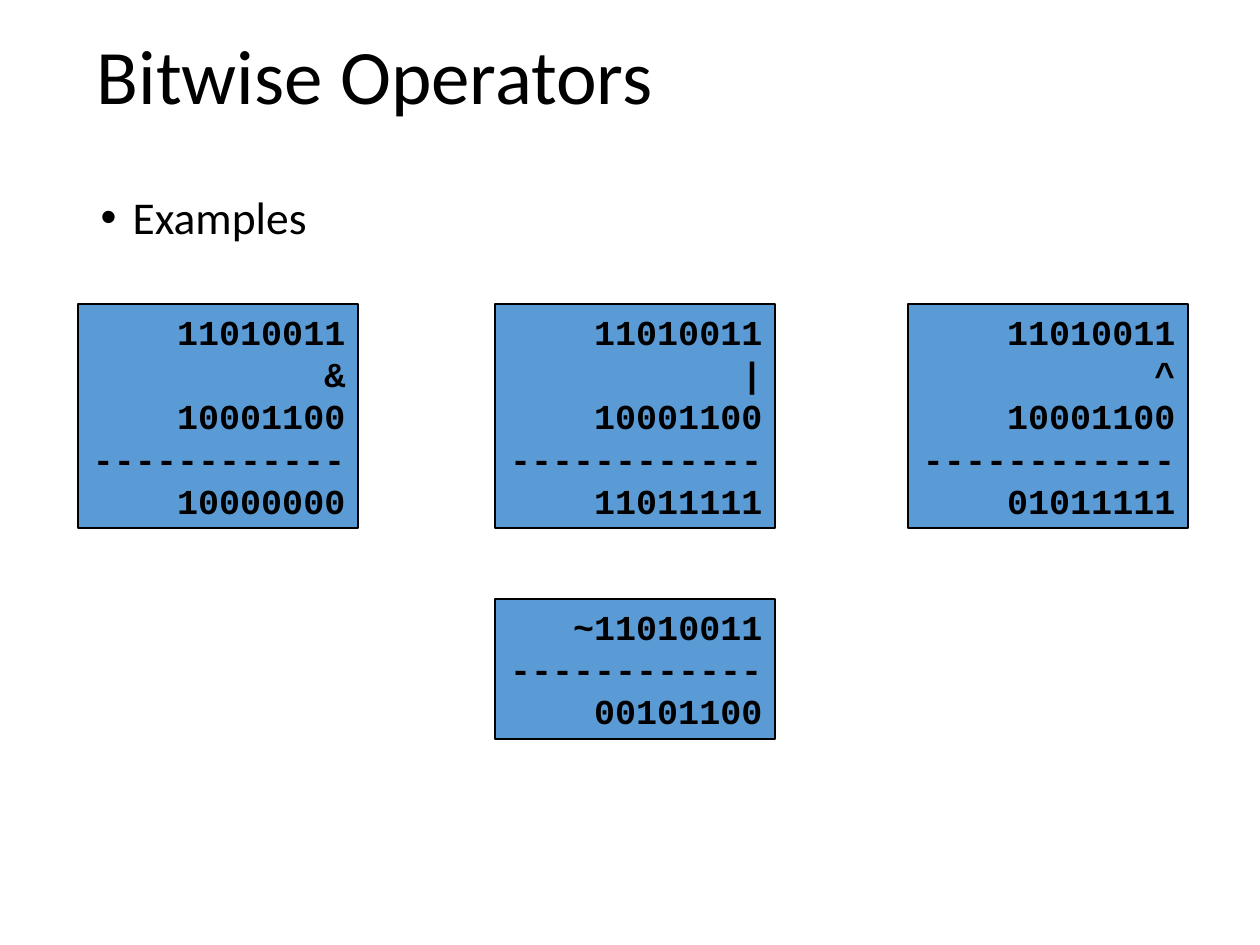
from pptx import Presentation
from pptx.dml.color import RGBColor
from pptx.enum.shapes import MSO_SHAPE
from pptx.enum.text import MSO_ANCHOR, MSO_AUTO_SIZE, PP_ALIGN
from pptx.util import Pt

PX = 914400 / 126
BLACK = RGBColor(0x00, 0x00, 0x00)
BLUE = RGBColor(0x5B, 0x9B, 0xD5)
RULE = "-" * 12


def px(*sizes):
    return [round(size * PX) for size in sizes]


def style(para, name, size, bold=False):
    font = para.font
    font.name, font.size, font.bold = name, Pt(size), bold
    font.color.rgb = BLACK


deck = Presentation()
deck.slide_width, deck.slide_height = px(1260, 945)
slide = deck.slides.add_slide(deck.slide_layouts[1])
title, body = slide.placeholders

# Title and list
for holder, text, size, box in [
    (title, "Bitwise Operators", 44, (84, 32, 1124, 136)),
    (body, "Examples", 26, (88, 189, 1124, 620)),
]:
    holder.left, holder.top, holder.width, holder.height = px(*box)
    frame = holder.text_frame
    frame.text = text
    frame.vertical_anchor = MSO_ANCHOR.TOP
    para = frame.paragraphs[0]
    para.alignment = PP_ALIGN.LEFT
    para.line_spacing = 0.9
    style(para, "Calibri", size)

para.space_before = Pt(10)
props = para._p.get_or_add_pPr()
indent = px(32)[0]
props.set("marL", str(indent))
props.set("indent", str(-indent))

# Worked examples
for left, top, height, lines in [
    (78, 304, 224, ["11010011", "&", "10001100", RULE, "10000000"]),
    (495, 304, 224, ["11010011", "|", "10001100", RULE, "11011111"]),
    (908, 304, 224, ["11010011", "^", "10001100", RULE, "01011111"]),
    (495, 599, 140, ["~11010011", RULE, "00101100"]),
]:
    card = slide.shapes.add_shape(MSO_SHAPE.RECTANGLE, *px(left, top, 280, height))
    card.shadow.inherit = False
    card.fill.solid()
    card.fill.fore_color.rgb = BLUE
    card.line.color.rgb = BLACK
    card.line.width = Pt(0.75)
    frame = card.text_frame
    frame.word_wrap = False
    frame.auto_size = MSO_AUTO_SIZE.SHAPE_TO_FIT_TEXT
    frame.vertical_anchor = MSO_ANCHOR.MIDDLE
    frame.text = "\n".join(lines)
    for para in frame.paragraphs:
        para.alignment = PP_ALIGN.RIGHT
        style(para, "Courier New", 20, bold=True)

deck.save("out.pptx")
